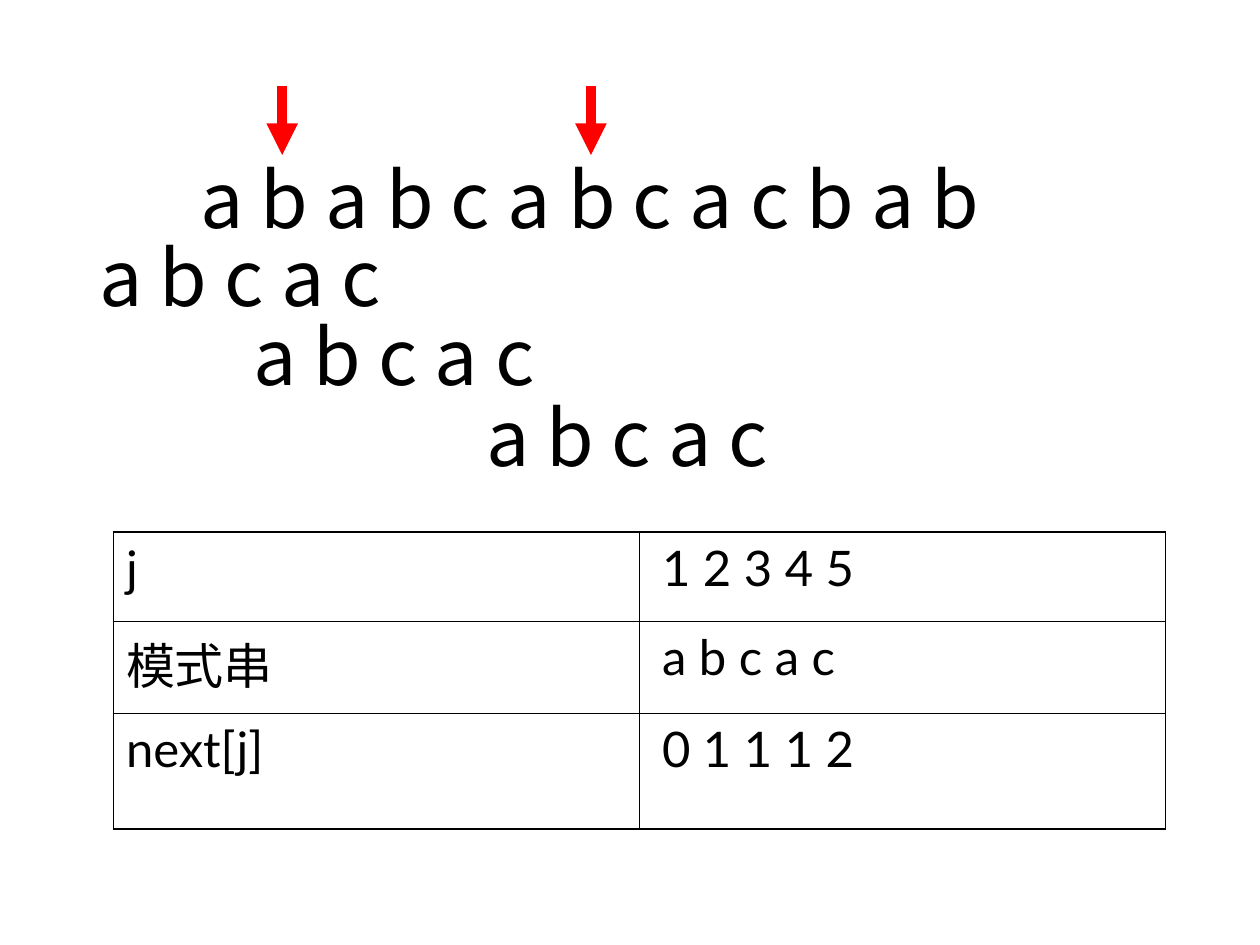
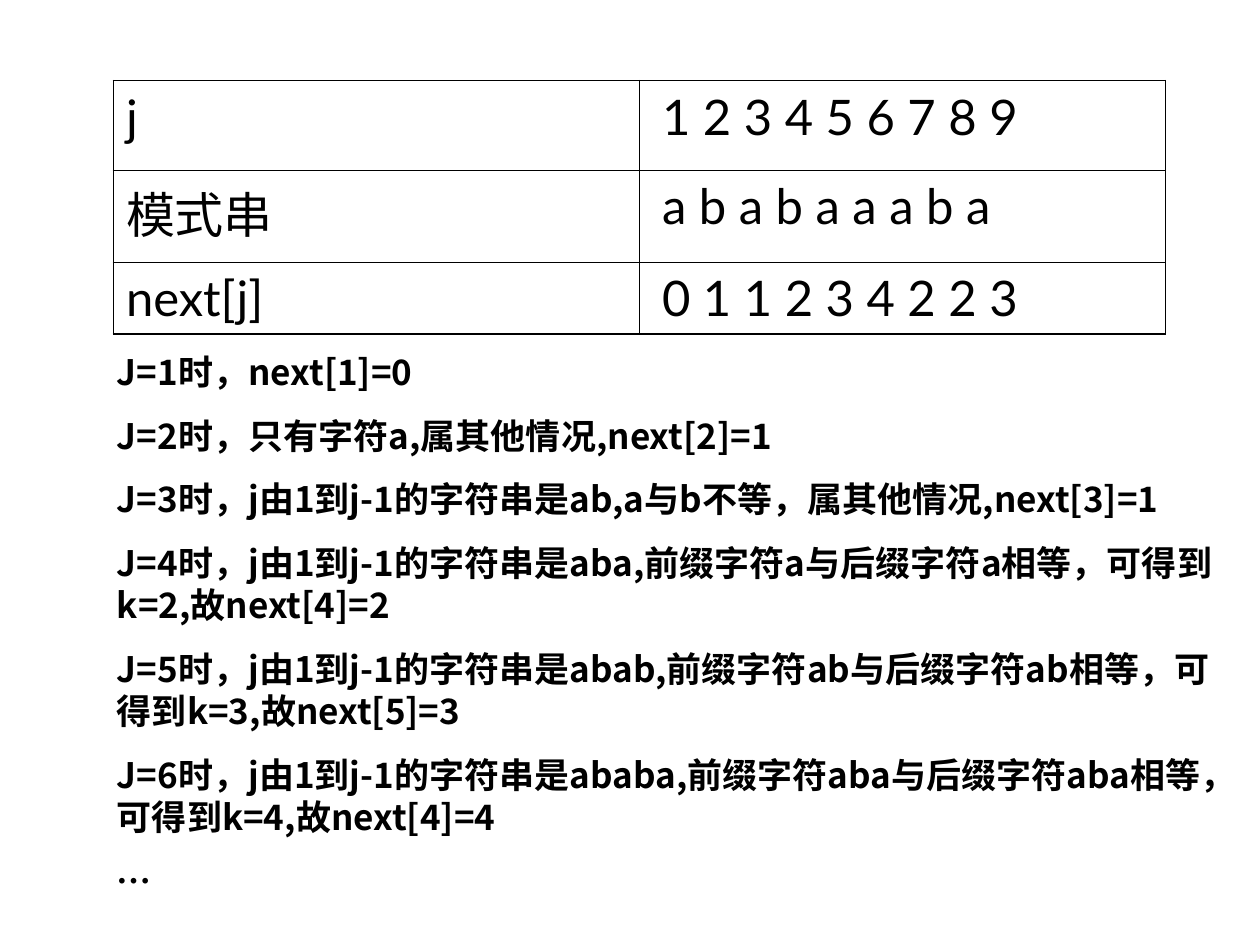
from lxml import etree
from pptx import Presentation
from pptx.dml.color import RGBColor
from pptx.enum.shapes import MSO_CONNECTOR as Connector
from pptx.enum.text import MSO_AUTO_SIZE as AutoSize
from pptx.oxml.ns import qn
from pptx.util import Inches, Pt

COLORS = {"text": "000000", "border": "000000", "pointer": "FF0000"}
CELL_FONT = "Lato"
TEXT_FONT = "Noto Sans CJK SC"
CELL_STYLE = {"size": Pt(28), "bold": False, "name": CELL_FONT}
STRING_STYLE = {"size": Pt(44), "bold": False, "name": TEXT_FONT}
STEP_STYLE = {"size": Pt(20), "bold": True, "name": TEXT_FONT}
ROW_LABELS = ["j", "模式串", "next[j]"]
OUTER_BORDER, INNER_BORDER = 1.08, 0.45

TARGET = "a b a b c a b c a c b a b"
PATTERN = "a b c a c"
# text, left, top, width of each string in the matching
STRINGS = [
    (TARGET, 1.49, 1.15, 6.58),
    (PATTERN, 0.69, 1.77, 2.48),
    (PATTERN, 1.91, 2.4, 2.48),
    (PATTERN, 3.76, 3.04, 2.48),
]
POINTER_LEFTS = [2.24, 4.69]
STEPS = [
    "J=1时，next[1]=0",
    "J=2时，只有字符a,属其他情况,next[2]=1",
    "J=3时，j由1到j-1的字符串是ab,a与b不等，属其他情况,next[3]=1",
    "J=4时，j由1到j-1的字符串是aba,前缀字符a与后缀字符a相等，可得到k=2,故next[4]=2",
    "J=5时，j由1到j-1的字符串是abab,前缀字符ab与后缀字符ab相等，可得到k=3,故next[5]=3",
    "J=6时，j由1到j-1的字符串是ababa,前缀字符aba与后缀字符aba相等，可得到k=4,故next[4]=4",
    "…",
]


def write(para, text, style):
    """Add one formatted span to a paragraph."""
    span = para.add_run()
    span.text = text
    for name, value in style.items():
        setattr(span.font, name, value)
    span.font.color.rgb = RGBColor.from_string(COLORS["text"])
    east_asian = etree.SubElement(span.font._element, qn("a:ea"))
    east_asian.set("typeface", TEXT_FONT)


def add_text(page, box, lines, style, line_height, wrap=True, space=0):
    """Place a text box with one paragraph for each line."""
    frame = page.shapes.add_textbox(*map(Inches, box)).text_frame
    frame.word_wrap = wrap
    frame.auto_size = AutoSize.SHAPE_TO_FIT_TEXT
    for index, line in enumerate(lines):
        para = frame.add_paragraph() if index else frame.paragraphs[0]
        para.space_before = Pt(space if index else 0)
        para.line_spacing = Pt(line_height)
        write(para, line, style)


def set_borders(cell, widths):
    """Draw the left, right, top and bottom lines of a cell."""
    properties = cell._tc.get_or_add_tcPr()
    for index, (side, width) in enumerate(widths.items()):
        line = etree.Element(qn(f"a:ln{side}"), w=str(int(Pt(width))))
        fill = etree.SubElement(line, qn("a:solidFill"))
        etree.SubElement(fill, qn("a:srgbClr"), val=COLORS["border"])
        properties.insert(index, line)


def add_next_table(page, box, row_heights, values):
    """Place the table of positions, pattern and next values."""
    rows = list(zip(ROW_LABELS, values))
    table = page.shapes.add_table(len(rows), 2, *map(Inches, box)).table
    table.first_row = table.horz_banding = False
    for column in table.columns:
        column.width = Inches(box[2] / 2)
    for r, texts in enumerate(rows):
        table.rows[r].height = Inches(row_heights[r])
        for c, text in enumerate(texts):
            cell = table.cell(r, c)
            cell.fill.background()
            # The values stand a little further in than the labels
            cell.margin_left = Inches(0.18 if c else 0.1)
            write(cell.text_frame.paragraphs[0], text, CELL_STYLE)
            outer = {"L": c == 0, "R": c == 1, "T": r == 0, "B": r == len(rows) - 1}
            set_borders(cell, {side: OUTER_BORDER if edge else INNER_BORDER
                               for side, edge in outer.items()})


def add_pointer(page, left, top, length):
    """Place a thick arrow that points down at a character."""
    ends = map(Inches, (left, top, left, top + length))
    arrow = page.shapes.add_connector(Connector.STRAIGHT, *ends)
    arrow.line.width = Pt(6)
    arrow.line.color.rgb = RGBColor.from_string(COLORS["pointer"])
    etree.SubElement(arrow.line._get_or_add_ln(), qn("a:tailEnd"), type="triangle")
    etree.SubElement(arrow._element.spPr, qn("a:effectLst"))


def build_matching(page):
    # Table of next values
    add_next_table(page, (0.9, 4.22, 8.35, 2.36), (0.71, 0.73, 0.92),
                   ["1 2 3 4 5", PATTERN, "0 1 1 1 2"])
    # Target string and the shifted patterns
    for text, left, top, width in STRINGS:
        add_text(page, (left, top, width, 0.84), [text], STRING_STYLE, 53, wrap=False)
    # Pointers above the target string
    for left in POINTER_LEFTS:
        add_pointer(page, left, 0.68, 0.55)


def build_derivation(page):
    # Table of next values
    add_next_table(page, (0.9, 0.64, 8.35, 2.01), (0.71, 0.73, 0.57),
                   ["1 2 3 4 5 6 7 8 9", "a b a b a a a b a", "0 1 1 2 3 4 2 2 3"])
    # Derivation step by step
    add_text(page, (0.83, 2.73, 8.9, 4.81), STEPS, STEP_STYLE, 24, space=12.5)


def main():
    deck = Presentation()
    deck.slide_width, deck.slide_height = Inches(10), Inches(7.5)
    for build in (build_matching, build_derivation):
        build(deck.slides.add_slide(deck.slide_layouts[6]))
    deck.save("out.pptx")


if __name__ == "__main__":
    main()
